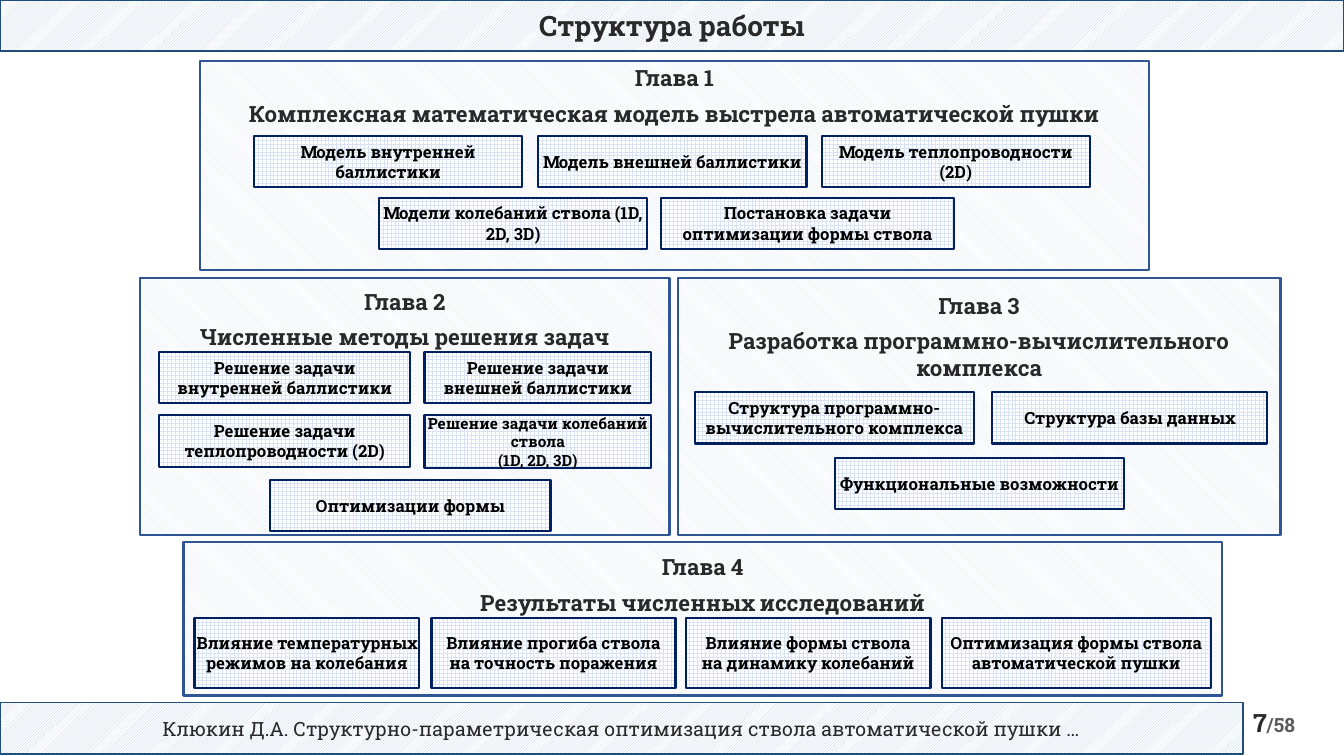
from pptx import Presentation
from pptx.dml.color import RGBColor
from pptx.enum.dml import MSO_PATTERN as Pattern
from pptx.enum.shapes import MSO_SHAPE as Shape
from pptx.enum.text import MSO_ANCHOR as Anchor, MSO_AUTO_SIZE as AutoSize, PP_ALIGN as Align
from pptx.util import Emu, Pt

EMU_PER_PX = 9144  # 100 px to the inch


def px(length):
    return Emu(length * EMU_PER_PX)


def color(hex_string):
    return RGBColor.from_string(hex_string)


class Board:
    FONT = "Roboto Slab"
    INK, BLACK, GRAY = "292929", "000000", "5A5A5A"
    BAND_LINE, CHAPTER_LINE, TOPIC_LINE = "1F4E79", "2F5597", "002060"
    BAND_TINT, PALE_TINT = "B4C7E7", "DAE3F3"

    def __init__(self, slide):
        self.slide = slide

    def paint(self, shape, pattern, tint, outline, weight):
        shape.fill.patterned()
        shape.fill.pattern = pattern
        shape.fill.fore_color.rgb = color(tint)
        shape.fill.back_color.rgb = color("FFFFFF")
        shape.line.color.rgb = color(outline)
        shape.line.width = Pt(weight)

    def style(self, font, size, ink, bold=True):
        font.name, font.size, font.bold = self.FONT, Pt(size), bold
        font.color.rgb = color(ink)

    def label(self, shape, text, size, ink, bold=True, inset=2):
        frame = shape.text_frame
        frame.text = text
        frame.word_wrap = True
        frame.auto_size = AutoSize.NONE
        frame.vertical_anchor = Anchor.MIDDLE
        frame.margin_left = frame.margin_right = px(inset)
        frame.margin_top = frame.margin_bottom = px(inset)
        for paragraph in frame.paragraphs:
            paragraph.alignment = Align.CENTER
            self.style(paragraph.font, size, ink, bold)
        return frame

    def rect(self, left, top, width, height):
        shape = self.slide.shapes.add_shape(
            Shape.RECTANGLE, px(left), px(top), px(width), px(height))
        shape.shadow.inherit = False
        return shape

    def band(self, shape, text, size, bold):
        self.paint(shape, Pattern.LIGHT_UPWARD_DIAGONAL, self.BAND_TINT, self.BAND_LINE, 1.25)
        self.label(shape, text, size, self.INK, bold)

    def title(self, text, width, height):
        title = self.slide.shapes.title
        title.left, title.top, title.width, title.height = px(0), px(0), px(width), px(height)
        self.band(title, text, 20, True)

    def footer(self, text, top, width, height):
        self.band(self.rect(0, top, width, height), text, 14, False)

    def chapter(self, number, heading, bounds, text_inset):
        panel = self.rect(*bounds)
        self.paint(panel, Pattern.LIGHT_DOWNWARD_DIAGONAL, self.PALE_TINT, self.CHAPTER_LINE, 1.5)
        frame = self.label(panel, f"Глава {number}\n{heading}", 16, self.INK, inset=10)
        frame.vertical_anchor = Anchor.TOP
        frame.margin_top = px(text_inset)
        for paragraph in frame.paragraphs:
            paragraph.space_after = Pt(6)

    def topics(self, top, height, row, size=12):
        for left, width, text in row:
            box = self.rect(left, top, width, height)
            self.paint(box, Pattern.LARGE_GRID, self.PALE_TINT, self.TOPIC_LINE, 1.5)
            self.label(box, text, size, self.BLACK)

    def page_number(self, page, total, left, top, width, height):
        box = self.slide.shapes.add_textbox(px(left), px(top), px(width), px(height))
        box.text_frame.word_wrap = True
        paragraph = box.text_frame.paragraphs[0]
        for text, size, ink in ((page, 18, self.INK), (f"/{total}", 14, self.GRAY)):
            run = paragraph.add_run()
            run.text = text
            self.style(run.font, size, ink)


def main():
    deck = Presentation()
    deck.slide_width, deck.slide_height = px(1333), px(750)
    board = Board(deck.slides.add_slide(deck.slide_layouts[5]))
    board.title("Структура работы", 1333, 51)

    # Chapter 1: models
    board.chapter(1, "Комплексная математическая модель выстрела автоматической пушки",
                  (198, 61, 942, 207), 3)
    board.topics(135, 51, [
        (252, 266, "Модель внутренней баллистики"),
        (534, 266, "Модель внешней баллистики"),
        (815, 266, "Модель теплопроводности (2D)"),
    ])
    board.topics(196, 51, [
        (376, 266, "Модели колебаний ствола (1D, 2D, 3D)"),
        (656, 290, "Постановка задачи оптимизации формы ствола"),
    ])

    # Chapter 2: numerical methods
    board.chapter(2, "Численные методы решения задач", (139, 276, 525, 255), 10)
    board.topics(349, 51, [
        (158, 249, "Решение задачи внутренней баллистики"),
        (421, 225, "Решение задачи внешней баллистики"),
    ])
    board.topics(412, 51, [(158, 249, "Решение задачи теплопроводности (2D)")])
    board.topics(412, 52, [(421, 225, "Решение задачи колебаний ствола\n(1D, 2D, 3D)")], size=11)
    board.topics(476, 51, [(268, 278, "Оптимизации формы")])

    # Chapter 3: software
    board.chapter(3, "Разработка программно-вычислительного комплекса",
                  (672, 276, 598, 255), 14)
    board.topics(389, 51, [
        (689, 277, "Структура программно-вычислительного комплекса"),
        (984, 273, "Структура базы данных"),
    ])
    board.topics(454, 51, [(828, 287, "Функциональные возможности")])

    # Chapter 4: results
    board.chapter(4, "Результаты численных исследований", (182, 538, 1030, 152), 11)
    board.topics(613, 70, [
        (193, 223, "Влияние температурных режимов на колебания"),
        (428, 242, "Влияние прогиба ствола\nна точность поражения"),
        (680, 243, "Влияние формы ствола\nна динамику колебаний"),
        (934, 267, "Оптимизация формы ствола автоматической пушки"),
    ])

    # Footer and page number
    board.footer("Клюкин Д.А. Структурно-параметрическая оптимизация ствола автоматической пушки …",
                 697, 1233, 51)
    board.page_number("7", 58, 1233, 697, 100, 53)
    deck.save("out.pptx")


if __name__ == "__main__":
    main()
